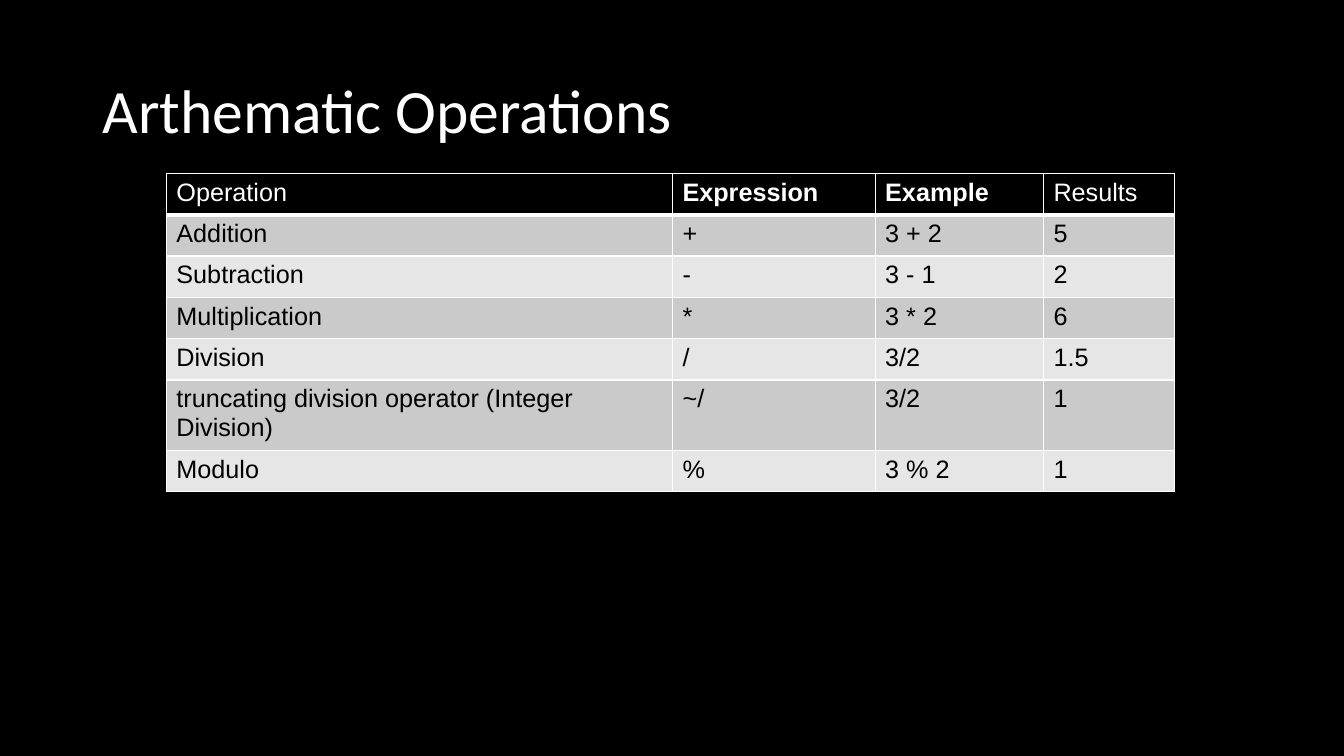
from pptx import Presentation
from pptx import util as u
from pptx.dml import color
from pptx.enum import text
from pptx.oxml import ns
from lxml import etree

WHITE, BLACK = "FFFFFF", "000000"
BANDS = ["CACACA", "E6E6E6"]
COLUMN_WIDTHS = [5.02, 2.01, 1.67, 1.3]
ROW_HEIGHT = 0.41
OPERATIONS = [
    ["Operation", "Expression", "Example", "Results"],
    ["Addition", "+", "3 + 2", "5"],
    ["Subtraction", "-", "3 - 1", "2"],
    ["Multiplication", "*", "3 * 2", "6"],
    ["Division", "/", "3/2", "1.5"],
    ["truncating division operator (Integer Division)", "~/", "3/2", "1"],
    ["Modulo", "%", "3 % 2", "1"],
]
BOLD_HEADINGS = {"Expression", "Example"}


def paint(fill, hex_color):
    fill.solid()
    fill.fore_color.rgb = color.RGBColor.from_string(hex_color)


def style(para, font_name, size, hex_color, bold=False):
    for span in para.runs:
        span.font.name = font_name
        span.font.size = u.Pt(size)
        span.font.bold = bold
        paint(span.font.fill, hex_color)


def add_title(page, wording):
    box = page.shapes.add_textbox(u.Inches(0.92), u.Inches(0.4),
                                  u.Inches(11.5), u.Inches(1.45))
    frame = box.text_frame
    frame.word_wrap = True
    frame.vertical_anchor = text.MSO_ANCHOR.MIDDLE
    frame.text = wording
    para = frame.paragraphs[0]
    para.line_spacing = 0.9
    style(para, "Calibri", 44, WHITE)


def add_borders(cell, widths):
    properties = cell._tc.get_or_add_tcPr()
    for side, width in widths.items():
        line = etree.SubElement(properties, ns.qn(f"a:ln{side}"), w=str(u.Pt(width)))
        solid = etree.SubElement(line, ns.qn("a:solidFill"))
        etree.SubElement(solid, ns.qn("a:srgbClr"), val=WHITE)


def add_operations_table(page, rows):
    frame = page.shapes.add_table(
        len(rows), len(COLUMN_WIDTHS), u.Inches(1.65), u.Inches(1.72),
        u.Inches(sum(COLUMN_WIDTHS)), u.Inches(ROW_HEIGHT * len(rows)))
    table = frame.table
    for column, width in zip(table.columns, COLUMN_WIDTHS):
        column.width = u.Inches(width)
    for i, values in enumerate(rows):
        table.rows[i].height = u.Inches(ROW_HEIGHT)
        header = i == 0
        # The header is set off by a thick rule shared with the first band
        widths = {"L": 1, "R": 1, "T": 3 if i == 1 else 1, "B": 3 if header else 1}
        for j, value in enumerate(values):
            cell = table.cell(i, j)
            cell.text = value
            add_borders(cell, widths)
            paint(cell.fill, BLACK if header else BANDS[(i - 1) % 2])
            style(cell.text_frame.paragraphs[0], "Arial", 18,
                  WHITE if header else BLACK, header and value in BOLD_HEADINGS)


def main():
    deck = Presentation()
    deck.slide_width, deck.slide_height = u.Inches(13.33), u.Inches(7.5)
    page = deck.slides.add_slide(deck.slide_layouts[6])
    paint(page.background.fill, BLACK)

    # Heading
    add_title(page, "Arthematic Operations")
    # Operators with examples
    add_operations_table(page, OPERATIONS)

    deck.save("out.pptx")


if __name__ == "__main__":
    main()
